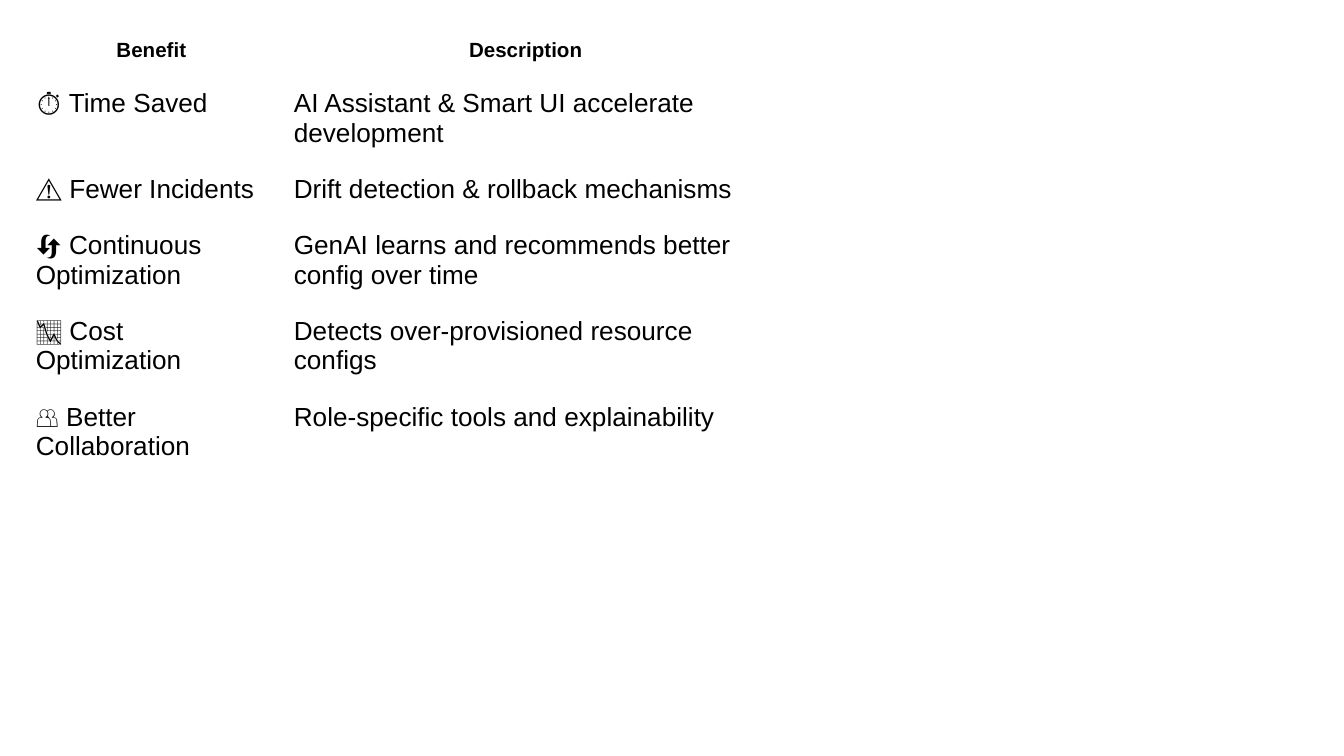
import pptx
import pptx.dml.color
import pptx.enum.text
import pptx.util

Inches = pptx.util.Inches
ALIGN = pptx.enum.text.PP_ALIGN

SLIDE_WIDTH = 10
SLIDE_HEIGHT = SLIDE_WIDTH * 9 / 16
MARGIN = 1 / 6

HEADINGS = ("Benefit", "Description")
BENEFITS = [
    ("⏱️ Time Saved", "AI Assistant & Smart UI accelerate development"),
    ("⚠️ Fewer Incidents", "Drift detection & rollback mechanisms"),
    ("🔄 Continuous Optimization", "GenAI learns and recommends better config over time"),
    ("📉 Cost Optimization", "Detects over-provisioned resource configs"),
    ("👥 Better Collaboration", "Role-specific tools and explainability"),
]
COLUMN_WIDTHS = (1.92, 3.65)
HEADING_HEIGHT, BENEFIT_HEIGHT = 0.22, 0.24

HEADING_FORMAT = {
    "paragraph": {"alignment": ALIGN.CENTER, "line_spacing": 1.15},
    "font": {"name": "Arial", "size": pptx.util.Pt(11), "bold": True},
}
BENEFIT_FORMAT = {
    "paragraph": {"alignment": ALIGN.LEFT},
    "font": {"name": "Arial", "size": pptx.util.Pt(14), "bold": False},
}


def color(value):
    return pptx.dml.color.RGBColor.from_string(value)


def set_values(target, values):
    for name, value in values.items():
        setattr(target, name, value)


def fill_cell(cell, text, cell_format):
    cell.fill.background()
    for side in ("left", "right", "top", "bottom"):
        setattr(cell, f"margin_{side}", Inches(0.1))
    para = cell.text_frame.paragraphs[0]
    set_values(para, cell_format["paragraph"])
    span = para.add_run()
    span.text = text
    set_values(span.font, cell_format["font"])
    span.font.color.rgb = color("000000")


def add_benefit_table(page, left, top):
    rows = [HEADINGS] + BENEFITS
    heights = [HEADING_HEIGHT] + [BENEFIT_HEIGHT] * len(BENEFITS)
    table = page.shapes.add_table(
        len(rows), len(COLUMN_WIDTHS), Inches(left), Inches(top),
        Inches(sum(COLUMN_WIDTHS)), Inches(sum(heights))).table
    set_values(table, {"first_row": False, "horz_banding": False})
    for column, width in zip(table.columns, COLUMN_WIDTHS):
        column.width = Inches(width)
    for index, (texts, height) in enumerate(zip(rows, heights)):
        table.rows[index].height = Inches(height)
        cell_format = BENEFIT_FORMAT if index else HEADING_FORMAT
        for cell, text in zip(table.rows[index].cells, texts):
            fill_cell(cell, text, cell_format)


def main():
    deck = pptx.Presentation()
    set_values(deck, {"slide_width": Inches(SLIDE_WIDTH),
                      "slide_height": Inches(SLIDE_HEIGHT)})
    page = deck.slides.add_slide(deck.slide_layouts[6])
    page.background.fill.solid()
    page.background.fill.fore_color.rgb = color("FFFFFF")
    add_benefit_table(page, MARGIN, MARGIN)
    deck.save("out.pptx")


if __name__ == "__main__":
    main()
